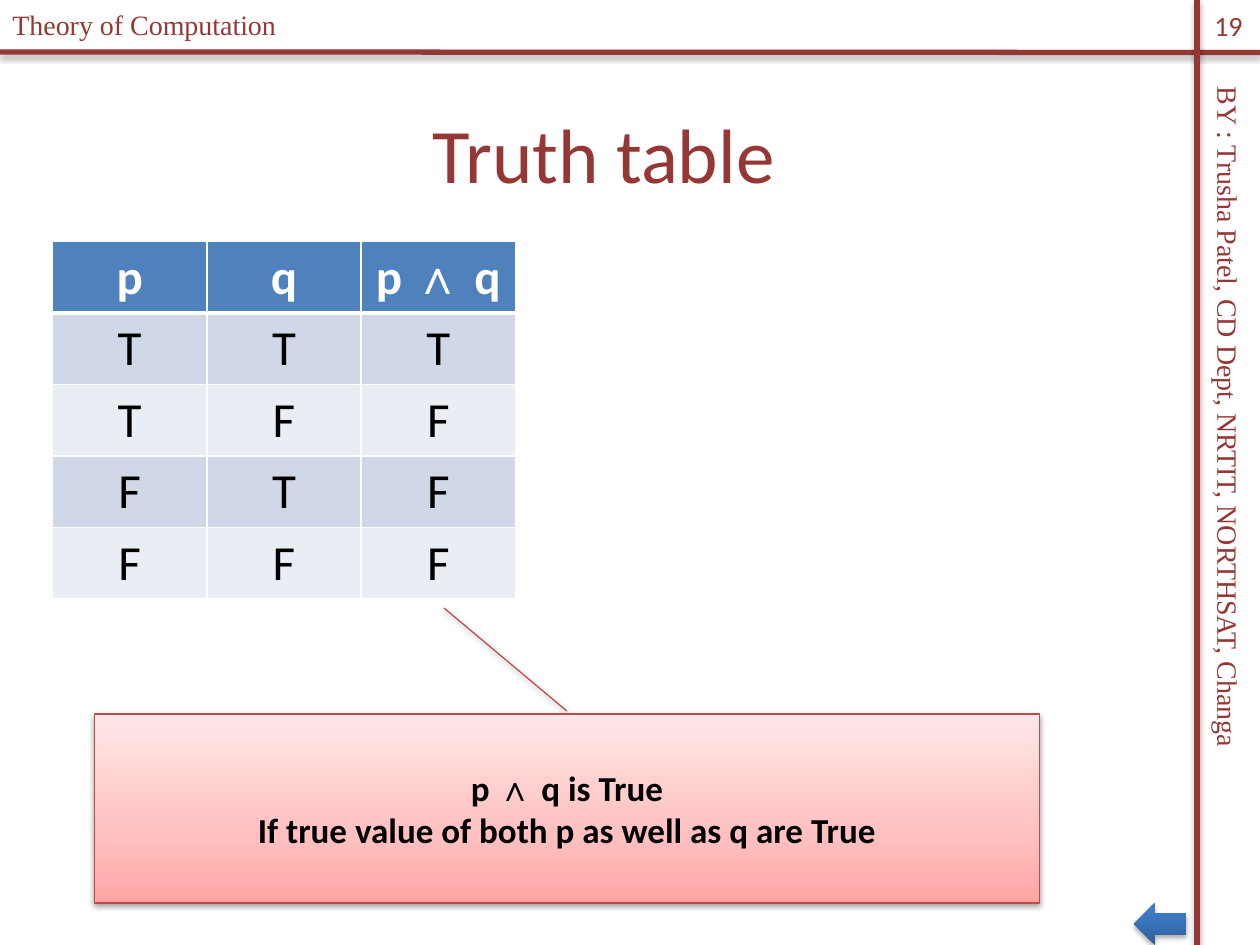
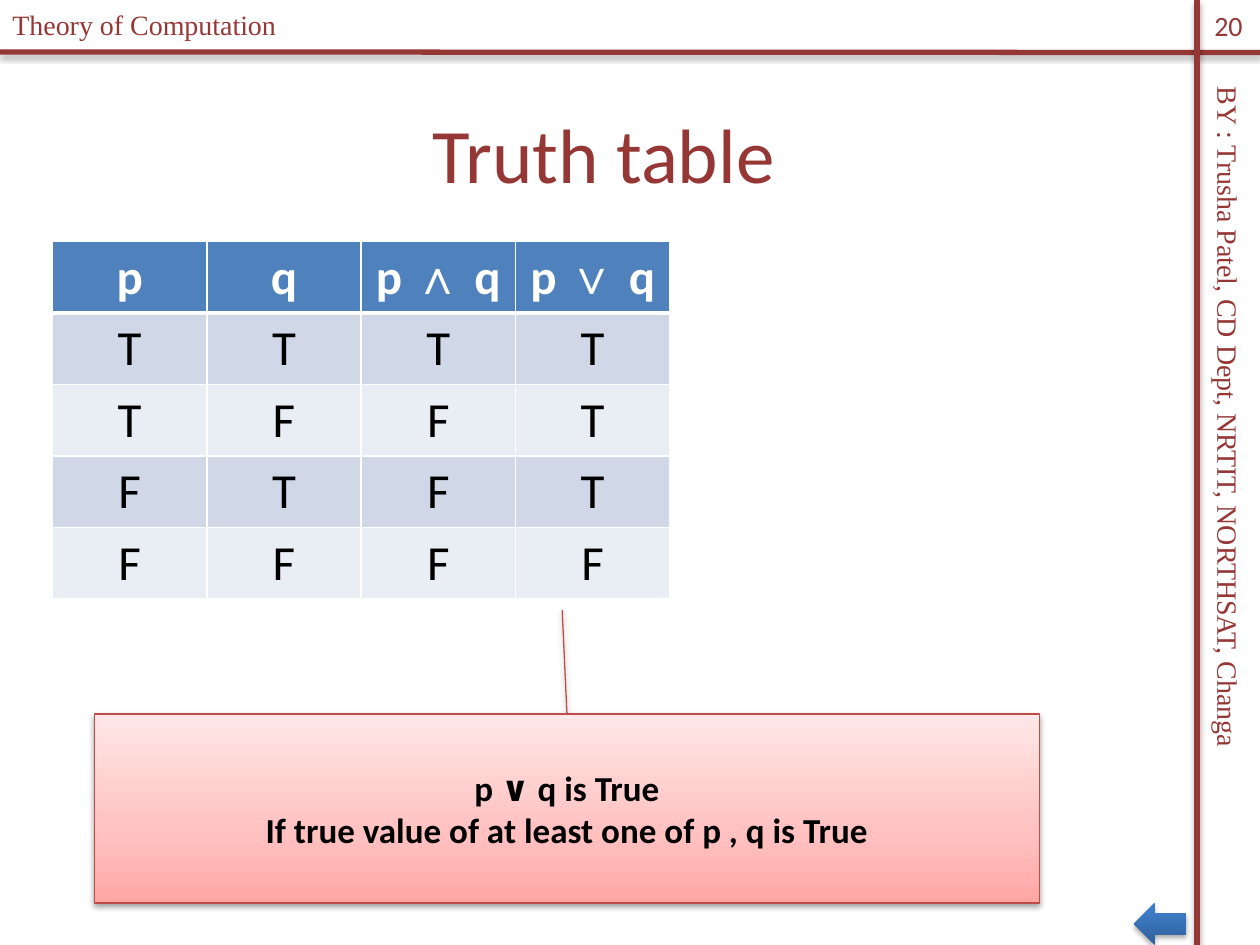
"""Build two truth table slides that share one frame of rules, bands and footers."""
from dataclasses import dataclass
from itertools import product
from typing import NamedTuple

from lxml.etree import SubElement
from pptx import Presentation
from pptx.dml.color import RGBColor
from pptx.enum.shapes import MSO_CONNECTOR, MSO_SHAPE
from pptx.enum.text import MSO_ANCHOR, MSO_AUTO_SIZE, PP_ALIGN
from pptx.oxml.ns import qn
from pptx.util import Inches, Pt

COLORS = {
    "maroon": "953735",
    "header": "4F81BD",
    "band_dark": "D0D8E8",
    "band_light": "E9EDF4",
    "callout_line": "BF4C48",
    "white": "FFFFFF",
    "black": "000000",
}
CALLOUT_STOPS = ((0, "FFA6A5"), (35, "FFC0BF"), (100, "FFE7E7"))
ARROW_STOPS = ((0, "2F5F99"), (80, "3D7CC7"), (100, "3A7CCB"))
SANS, SERIF = "Calibri", "Times New Roman"

SLIDE_WIDTH, SLIDE_HEIGHT = Inches(10), Inches(7.5)
GRID_COLUMNS, GRID_ROWS = 120, 90
COLUMN, ROW = SLIDE_WIDTH / GRID_COLUMNS, SLIDE_HEIGHT / GRID_ROWS
CELL_COLUMNS, CELL_ROWS = 14.7, 6.8
CONNECTIVES = {"∧": all, "∨": any}


class Area(NamedTuple):
    column: float
    row: float
    columns: float
    rows: float

    def lengths(self) -> tuple[int, int, int, int]:
        return (int(self.column * COLUMN), int(self.row * ROW),
                int(self.columns * COLUMN), int(self.rows * ROW))


class Run(NamedTuple):
    text: str
    face: str = SANS


class Style(NamedTuple):
    size: int
    color: str
    bold: bool = False
    align: PP_ALIGN = PP_ALIGN.CENTER


class Shadow(NamedTuple):
    opacity: int
    distance: float
    blur: float = 3.1


@dataclass
class Label:
    text: str
    area: Area
    style: Style
    face: str = SANS
    rotation: int = 0
    fitted: bool = False


@dataclass
class TruthSlide:
    number: int
    symbols: str
    callout: list[list[Run]]
    pointer: tuple[float, float, float, float]


SOFT_SHADOW = Shadow(35, 1.8)
CALLOUT_SHADOW = Shadow(38, 1.6)
BAND_STYLE = Style(16, "maroon", align=PP_ALIGN.LEFT)
HEADER_STYLE = Style(28, "white", bold=True)
BODY_STYLE = Style(28, "black")
CALLOUT_STYLE = Style(20, "black", bold=True)

RULES = ((0, 4.95, GRID_COLUMNS, 5), (114, 0, 114, GRID_ROWS))
SHARED_LABELS = (
    Label("Theory of Computation", Area(0, 0.1, 39.5, 4.4), BAND_STYLE, SERIF, fitted=True),
    Label("BY : Trusha Patel, CD Dept, NRTIT, NORTHSAT, Changa",
          Area(78.5, 43.4, 77, 4.4), BAND_STYLE, SERIF, rotation=90, fitted=True),
    Label("Truth table", Area(2, 7, 111, 15), Style(44, "maroon")),
)
NUMBER_AREA = Area(114, 0, 6, 4.8)
TABLE_CORNER = (5, 23)
CALLOUT_AREA = Area(9, 68, 90, 18)
ARROW_AREA = Area(108, 86, 5, 4)


def formula(symbol: str, ending: str = "") -> list[Run]:
    """Return the runs of a formula with its connective in the serif face."""
    return [Run("p "), Run(f"{symbol} ", SERIF), Run(f"q{ending}")]


def rgb(name: str) -> RGBColor:
    """Return a named colour."""
    return RGBColor.from_string(COLORS[name])


def write(text_frame, paragraphs: list[list[Run]], style: Style) -> None:
    """Fill a text frame with styled paragraphs."""
    for index, runs in enumerate(paragraphs):
        paragraph = text_frame.add_paragraph() if index else text_frame.paragraphs[0]
        paragraph.alignment = style.align
        for piece in runs:
            run = paragraph.add_run()
            run.text = piece.text
            formats = {"name": piece.face, "size": Pt(style.size), "bold": style.bold}
            for name, value in formats.items():
                setattr(run.font, name, value)
            run.font.color.rgb = rgb(style.color)


def add_shadow(shape, shadow: Shadow) -> None:
    """Give a shape or connector a shadow that falls straight down."""
    effects = SubElement(shape.element.spPr, qn("a:effectLst"))
    outer = SubElement(effects, qn("a:outerShdw"), blurRad=str(Pt(shadow.blur)),
                       dist=str(Pt(shadow.distance)), dir="5400000", rotWithShape="0")
    color = SubElement(outer, qn("a:srgbClr"), val=COLORS["black"])
    SubElement(color, qn("a:alpha"), val=str(shadow.opacity * 1000))


def fill_gradient(shape, stops: tuple[tuple[int, str], ...]) -> None:
    """Fill a shape with a gradient that runs from bottom to top."""
    shape.fill.gradient()
    shape.fill.gradient_angle = 90
    stop_list = shape.element.spPr.find(f"{qn('a:gradFill')}/{qn('a:gsLst')}")
    stop_list.clear()
    for position, color in stops:
        stop = SubElement(stop_list, qn("a:gs"), pos=str(position * 1000))
        SubElement(stop, qn("a:srgbClr"), val=color)


def add_rule(slide, ends: tuple[float, float, float, float]) -> None:
    """Draw one thick rule of the frame."""
    start_column, start_row, end_column, end_row = ends
    connector = slide.shapes.add_connector(
        MSO_CONNECTOR.STRAIGHT, int(start_column * COLUMN), int(start_row * ROW),
        int(end_column * COLUMN), int(end_row * ROW))
    connector.line.color.rgb = rgb("maroon")
    connector.line.width = Pt(3)
    add_shadow(connector, SOFT_SHADOW)


def add_label(slide, label: Label) -> None:
    """Draw one text box."""
    shape = slide.shapes.add_textbox(*label.area.lengths())
    shape.rotation = label.rotation
    formats = {
        "word_wrap": not label.fitted,
        "auto_size": MSO_AUTO_SIZE.SHAPE_TO_FIT_TEXT if label.fitted else MSO_AUTO_SIZE.NONE,
        "vertical_anchor": MSO_ANCHOR.TOP if label.fitted else MSO_ANCHOR.MIDDLE,
    }
    for name, value in formats.items():
        setattr(shape.text_frame, name, value)
    write(shape.text_frame, [[Run(label.text, label.face)]], label.style)


def add_borders(cell, top: int, bottom: int) -> None:
    """Draw white borders around a cell."""
    properties = cell._tc.get_or_add_tcPr()
    widths = {"a:lnL": 1, "a:lnR": 1, "a:lnT": top, "a:lnB": bottom}
    for tag, width in widths.items():
        border = SubElement(properties, qn(tag), w=str(Pt(width)))
        fill = SubElement(border, qn("a:solidFill"))
        SubElement(fill, qn("a:srgbClr"), val=COLORS["white"])


def truth_rows(symbols: str) -> list[list[list[Run]]]:
    """Work out the header and the truth values of a table."""
    rows = [[[Run("p")], [Run("q")], *map(formula, symbols)]]
    for values in product((True, False), repeat=2):
        results = [CONNECTIVES[symbol](values) for symbol in symbols]
        rows.append([[Run("T" if value else "F")] for value in (*values, *results)])
    return rows


def add_truth_table(slide, symbols: str) -> None:
    """Draw the truth table of p, q and the given connectives."""
    rows = truth_rows(symbols)
    area = Area(*TABLE_CORNER, CELL_COLUMNS * len(rows[0]), CELL_ROWS * len(rows))
    table = slide.shapes.add_table(len(rows), len(rows[0]), *area.lengths()).table
    for row_index, row in enumerate(rows):
        is_header = row_index == 0
        band = "header" if is_header else "band_dark" if row_index % 2 else "band_light"
        for column_index, runs in enumerate(row):
            cell = table.cell(row_index, column_index)
            add_borders(cell, 3 if row_index == 1 else 1, 3 if is_header else 1)
            cell.fill.solid()
            cell.fill.fore_color.rgb = rgb(band)
            cell.vertical_anchor = MSO_ANCHOR.MIDDLE
            write(cell.text_frame, [runs], HEADER_STYLE if is_header else BODY_STYLE)


def add_callout(slide, content: TruthSlide) -> None:
    """Draw the callout that explains the last column."""
    shape = slide.shapes.add_shape(MSO_SHAPE.LINE_CALLOUT_1, *CALLOUT_AREA.lengths())
    for index, value in enumerate(content.pointer):
        shape.adjustments[index] = value
    fill_gradient(shape, CALLOUT_STOPS)
    shape.line.color.rgb = rgb("callout_line")
    shape.line.width = Pt(0.75)
    add_shadow(shape, CALLOUT_SHADOW)
    shape.text_frame.word_wrap = True
    shape.text_frame.vertical_anchor = MSO_ANCHOR.MIDDLE
    write(shape.text_frame, content.callout, CALLOUT_STYLE)


def add_back_arrow(slide) -> None:
    """Draw the arrow in the lower right corner."""
    shape = slide.shapes.add_shape(MSO_SHAPE.LEFT_ARROW, *ARROW_AREA.lengths())
    fill_gradient(shape, ARROW_STOPS)
    shape.line.fill.background()
    add_shadow(shape, SOFT_SHADOW)


def add_truth_slide(presentation, content: TruthSlide) -> None:
    """Add one complete slide."""
    slide = presentation.slides.add_slide(presentation.slide_layouts[6])
    for ends in RULES:
        add_rule(slide, ends)
    number = Label(str(content.number), NUMBER_AREA, Style(16, "maroon"))
    for label in (*SHARED_LABELS, number):
        add_label(slide, label)
    add_truth_table(slide, content.symbols)
    add_callout(slide, content)
    add_back_arrow(slide)


SLIDES = (
    TruthSlide(19, "∧", [formula("∧", " is True"),
                         [Run("If true value of both p as well as q are True")]],
               (-0.015, 0.5, -0.56, 0.37)),
    TruthSlide(20, "∧∨", [[Run("p ∨ q is True")],
                          [Run("If true value of at least one of p , q is True")]],
               (0, 0.5, -0.55, 0.495)),
)


def main() -> None:
    """Build and save the presentation."""
    presentation = Presentation()
    presentation.slide_width, presentation.slide_height = SLIDE_WIDTH, SLIDE_HEIGHT
    for content in SLIDES:
        add_truth_slide(presentation, content)
    presentation.save("out.pptx")


main()
